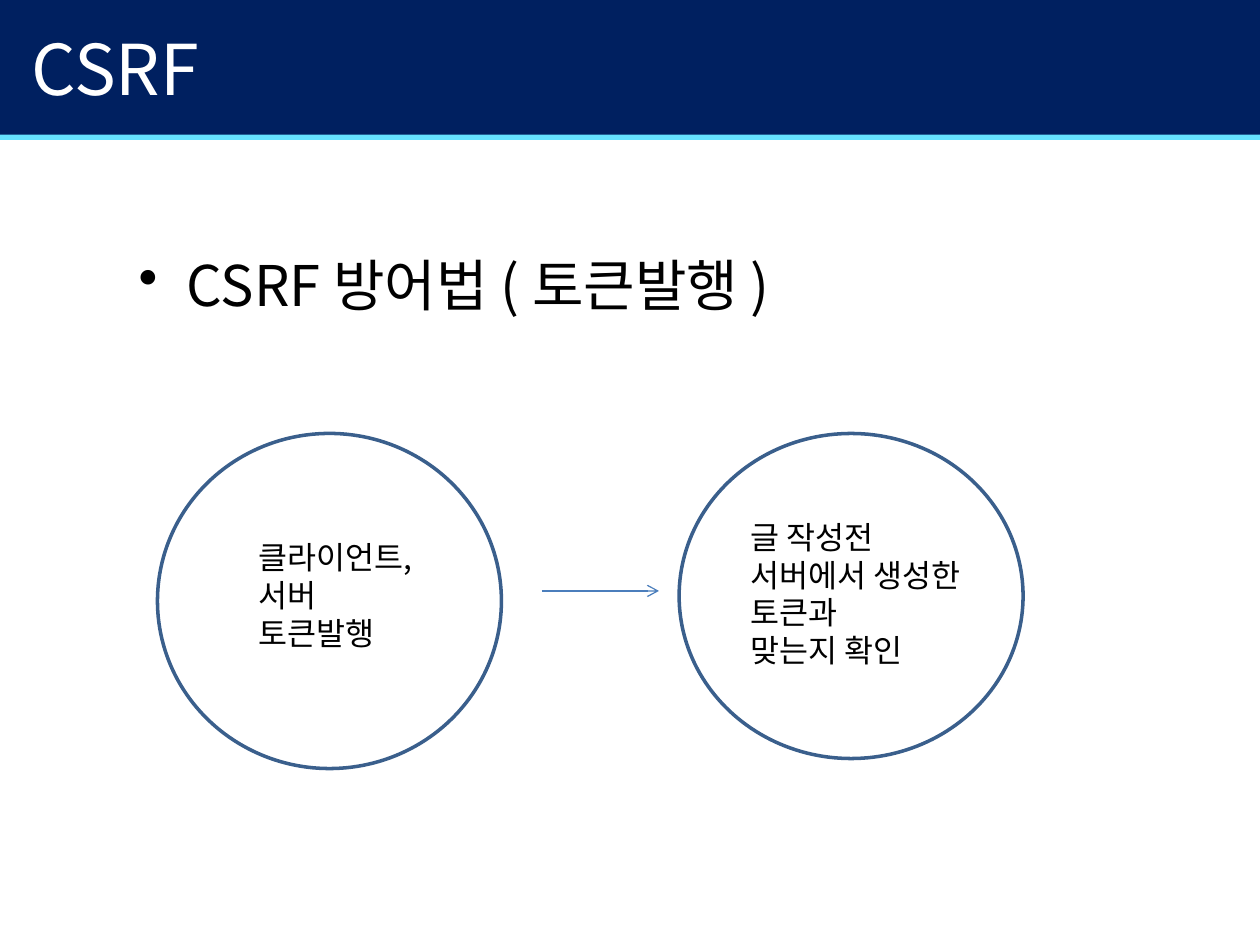
from dataclasses import dataclass

from lxml import etree
from pptx import Presentation
from pptx.dml.color import RGBColor
from pptx.enum import shapes, text
from pptx.oxml.ns import qn
from pptx.util import Inches, Pt


@dataclass(frozen=True)
class Theme:
    font: str = "Noto Sans CJK KR"
    navy: RGBColor = RGBColor.from_string("002060")
    cyan: RGBColor = RGBColor.from_string("65E2FF")
    outline: RGBColor = RGBColor.from_string("3A5F8C")
    arrow: RGBColor = RGBColor.from_string("4B7EBC")
    white: RGBColor = RGBColor.from_string("FFFFFF")
    black: RGBColor = RGBColor.from_string("000000")
    title: int = 40
    body: int = 32
    label: int = 18


theme = Theme()
prs = Presentation()
prs.slide_width, prs.slide_height = Inches(10), Inches(7.5)
slide = prs.slides.add_slide(prs.slide_layouts[6])


def add_text(box, lines, size, color, wrap=True):
    textbox = slide.shapes.add_textbox(*map(Inches, box))
    frame = textbox.text_frame
    frame.word_wrap = wrap
    frame.text = "\n".join(lines)
    for line in frame.paragraphs:
        line.font.size = Pt(size)
        line.font.name = theme.font
        line.font.color.rgb = color
        default_run = line._p.pPr.find(qn("a:defRPr"))
        etree.SubElement(default_run, qn("a:ea"), typeface=theme.font)
    return frame


bands = [((-0.01, 1.06, 10.01, 0.05), theme.cyan), ((-0.01, 0, 10.01, 1.07), theme.navy)]
for box, color in bands:
    band = slide.shapes.add_shape(shapes.MSO_SHAPE.RECTANGLE, *map(Inches, box))
    band.shadow.inherit = False
    band.fill.solid()
    band.fill.fore_color.rgb = color
    band.line.fill.background()

title = add_text((0.2, -0.09, 9, 1.25), ["CSRF"], theme.title, theme.white)
title.vertical_anchor = text.MSO_ANCHOR.MIDDLE
defense = add_text((1.05, 1.94, 7.9, 4.41), ["CSRF 방어법 ( 토큰발행 )"], theme.body, theme.black)
for frame in (title, defense):
    frame.margin_left = frame.margin_right = Inches(0.05)

heading = defense.paragraphs[0]
heading.space_before = Pt(7)
heading_format = heading._p.pPr
heading_format.set("marL", str(Inches(0.38)))
heading_format.set("indent", str(-Inches(0.38)))
bullet = etree.Element(qn("a:buChar"), char="•")
heading_format.find(qn("a:defRPr")).addprevious(bullet)

steps = [
    ((1.25, 3.44, 2.73, 2.66), (1.95, 4.22, 1.52, 1.01),
     ["클라이언트,", "서버", "토큰발행"]),
    ((5.39, 3.44, 2.73, 2.58), (5.86, 4.06, 2.06, 1.31),
     ["글 작성전", "서버에서 생성한", "토큰과", "맞는지 확인"]),
]
for circle_box, label_box, lines in steps:
    circle = slide.shapes.add_shape(shapes.MSO_SHAPE.OVAL, *map(Inches, circle_box))
    circle.shadow.inherit = False
    circle.fill.background()
    circle.line.color.rgb = theme.outline
    circle.line.width = Pt(2)
    label = add_text(label_box, lines, theme.label, theme.black, wrap=False)
    label.auto_size = text.MSO_AUTO_SIZE.SHAPE_TO_FIT_TEXT

arrow = slide.shapes.add_connector(
    shapes.MSO_CONNECTOR.STRAIGHT, Inches(4.3), Inches(4.69), Inches(5.23), Inches(4.69))
arrow.line.color.rgb = theme.arrow
arrow.line.width = Pt(0.75)
arrow_format = arrow._element.spPr
etree.SubElement(arrow_format.find(qn("a:ln")), qn("a:tailEnd"), type="arrow")
etree.SubElement(arrow_format, qn("a:effectLst"))

prs.save("out.pptx")
